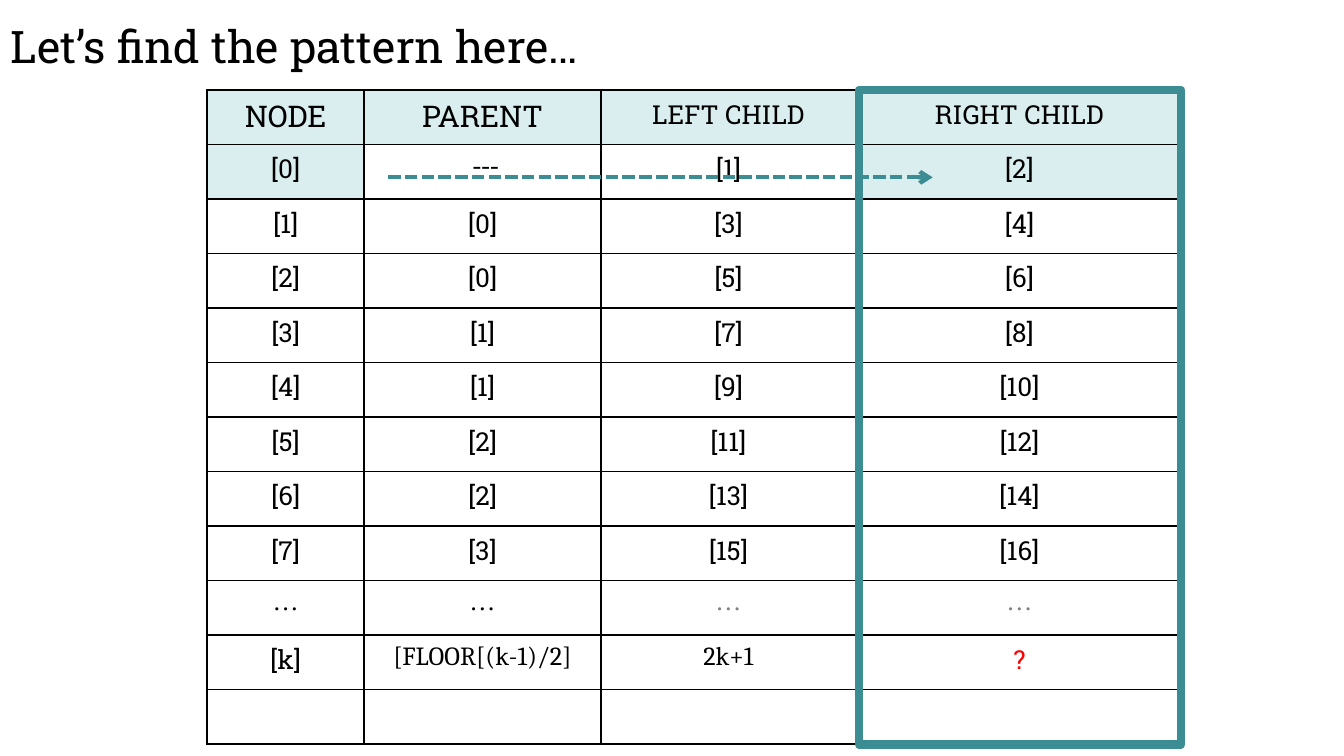
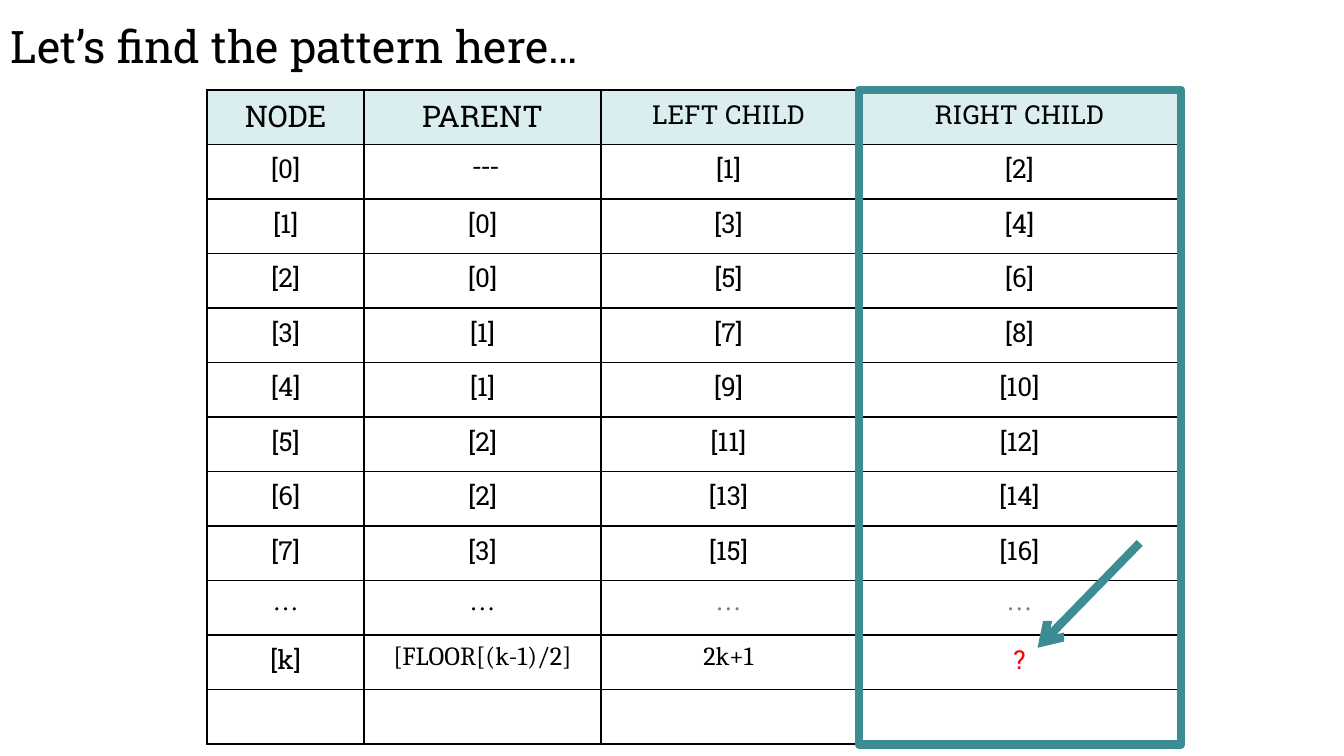
from lxml.etree import SubElement
from pptx import Presentation
from pptx.dml.color import RGBColor
from pptx.enum.dml import MSO_LINE
from pptx.enum.shapes import MSO_CONNECTOR, MSO_SHAPE
from pptx.enum.text import MSO_AUTO_SIZE, PP_ALIGN
from pptx.oxml.ns import qn
from pptx.util import Inches, Pt

BLACK = RGBColor(0x00, 0x00, 0x00)
WHITE = RGBColor(0xFF, 0xFF, 0xFF)
GRAY = RGBColor(0x7F, 0x7F, 0x7F)
RED = RGBColor(0xFF, 0x00, 0x00)
TEAL = RGBColor(0x3C, 0x8C, 0x93)
PALE_TEAL = RGBColor(0xDA, 0xED, 0xEF)

SLAB = "Roboto Slab"
TIMES = "Times New Roman"
CAMBRIA = "Cambria"

HEADINGS = ["NODE", "PARENT", "LEFT CHILD", "RIGHT CHILD"]
COLUMN_WIDTHS = [1.17, 1.76, 1.9, 2.43]
TABLE_LEFT, TABLE_TOP, TABLE_HEIGHT = 1.54, 0.67, 4.87
LAST_NODE = 7


def heap_rows():
    """Node, parent and child indexes of an array heap, then the general case."""
    rows = [HEADINGS]
    for node in range(LAST_NODE + 1):
        parent = f"[{(node - 1) // 2}]" if node else " ---"
        rows.append([f"[{node}]", parent, f"[{2 * node + 1}]", f"[{2 * node + 2}]"])
    return rows + [["…"] * 4, ["[k]", "[FLOOR[(k-1)/2]", "2k+1", "?"], [""] * 4]


def cell_format(text, column):
    """Font settings that follow from what a cell says."""
    if text == "…":
        return {"font": TIMES, "color": BLACK if column < 2 else GRAY}
    if text == " ---":
        return {"font": TIMES}
    if text in ("[FLOOR[(k-1)/2]", "2k+1"):
        return {"font": CAMBRIA}
    if text == "?":
        return {"color": RED}
    return {"size": 16} if text in ("NODE", "PARENT") else {}


def write(frame, text, size=14, font=SLAB, color=BLACK, align=PP_ALIGN.LEFT):
    para = frame.paragraphs[0]
    para.alignment = align
    if text:
        span = para.add_run()
        span.text = text
        span.font.size = Pt(size)
        span.font.name = font
        span.font.color.rgb = color


def add_borders(cell, color=BLACK, width=1):
    properties = cell._tc.get_or_add_tcPr()
    for side in ("a:lnL", "a:lnR", "a:lnT", "a:lnB"):
        border = SubElement(properties, qn(side), w=str(Pt(width)))
        fill = SubElement(border, qn("a:solidFill"))
        SubElement(fill, qn("a:srgbClr"), val=str(color))


class HeapDeck:
    """Holds the presentation, its style and the current page."""

    def __init__(self):
        self.deck = Presentation()
        self.deck.slide_width = Inches(10)
        self.deck.slide_height = Inches(10) * 9 // 16
        self.page = None

    def new_page(self):
        self.page = self.deck.slides.add_slide(self.deck.slide_layouts[6])
        self.page.background.fill.solid()
        self.page.background.fill.fore_color.rgb = WHITE

    def title(self, text):
        box = self.page.shapes.add_textbox(
            Inches(-0.02), Inches(0.09), Inches(4.51), Inches(0.5))
        box.text_frame.word_wrap = False
        box.text_frame.auto_size = MSO_AUTO_SIZE.SHAPE_TO_FIT_TEXT
        write(box.text_frame, text, size=24)

    def table(self, rows, fills):
        """Add the grid; fills maps (row, column) below the header to a colour."""
        table = self.page.shapes.add_table(
            len(rows), len(COLUMN_WIDTHS), Inches(TABLE_LEFT), Inches(TABLE_TOP),
            Inches(sum(COLUMN_WIDTHS)), Inches(TABLE_HEIGHT)).table
        for column, width in zip(table.columns, COLUMN_WIDTHS):
            column.width = Inches(width)
        for r, values in enumerate(rows):
            for c, text in enumerate(values):
                cell = table.cell(r, c)
                add_borders(cell)
                color = fills.get((r, c)) if r else PALE_TEAL
                if color is None:
                    cell.fill.background()
                else:
                    cell.fill.solid()
                    cell.fill.fore_color.rgb = color
                write(cell.text_frame, text, align=PP_ALIGN.CENTER,
                      **cell_format(text, c))

    def column_frame(self):
        frame = self.page.shapes.add_shape(
            MSO_SHAPE.RECTANGLE, Inches(6.39), Inches(TABLE_TOP),
            Inches(2.4), Inches(TABLE_HEIGHT))
        frame.shadow.inherit = False
        frame.fill.background()
        frame.line.color.rgb = TEAL
        frame.line.width = Pt(4.5)

    def arrow(self, start, end, width, tip="a:tailEnd", dash=None):
        """Draw a line whose tip is at its end (a:tailEnd) or start (a:headEnd)."""
        arrow = self.page.shapes.add_connector(
            MSO_CONNECTOR.STRAIGHT, *(Inches(value) for value in start + end))
        arrow.line.color.rgb = TEAL
        arrow.line.width = Pt(width)
        if dash:
            arrow.line.dash_style = dash
        SubElement(arrow.line._get_or_add_ln(), qn(tip), type="arrow")
        SubElement(arrow._element.spPr, qn("a:effectLst"))

    def pattern_page(self, fills):
        self.new_page()
        self.table(heap_rows(), fills)
        self.title("Let’s find the pattern here…")
        self.column_frame()


def main():
    heap = HeapDeck()
    heap.pattern_page({(1, 0): PALE_TEAL, (1, 3): PALE_TEAL})
    heap.arrow((6.94, 1.32), (2.86, 1.32), 2.25, "a:headEnd", MSO_LINE.SQUARE_DOT)
    heap.pattern_page({(1, 0): WHITE})
    heap.arrow((8.48, 4.04), (7.72, 4.82), 4.5)
    heap.deck.save("out.pptx")


if __name__ == "__main__":
    main()
